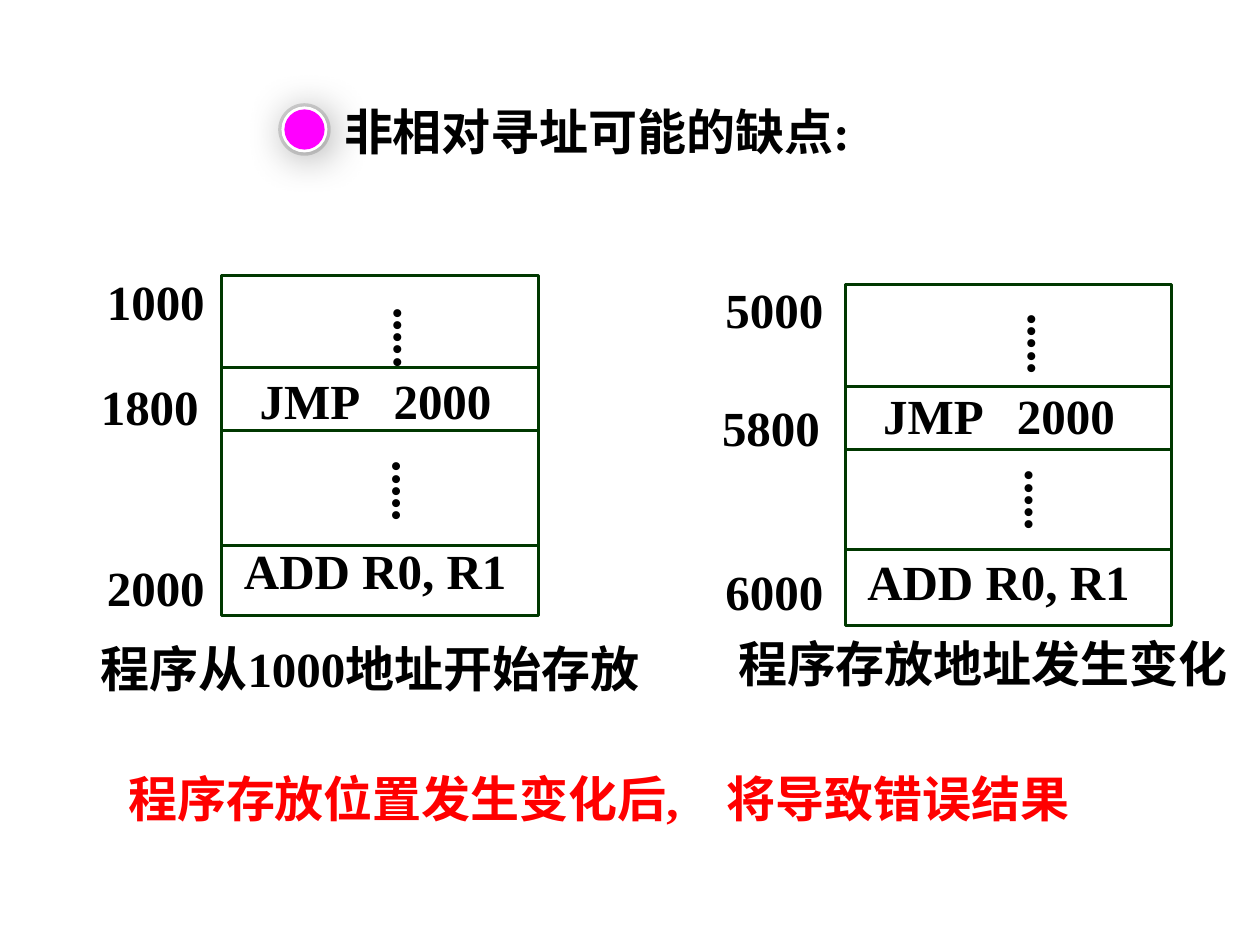
from dataclasses import dataclass

import pptx
import pptx.dml.color
import pptx.enum.shapes
import pptx.enum.text
import pptx.oxml
import pptx.oxml.ns
import pptx.util

Pt = pptx.util.Pt
RGBColor = pptx.dml.color.RGBColor
MSO_SHAPE = pptx.enum.shapes.MSO_SHAPE

BLACK = RGBColor(0x00, 0x00, 0x00)
RED = RGBColor(0xFF, 0x00, 0x00)
GREEN = RGBColor(0x00, 0x38, 0x00)
MAGENTA = RGBColor(0xFF, 0x00, 0xFF)
WHITE = RGBColor(0xFF, 0xFF, 0xFF)
RING_GRAY = RGBColor(0xD9, 0xD9, 0xD9)
PALE_BLUE = RGBColor(0xF6, 0xF9, 0xFC)
PALE_GRAY = RGBColor(0xF2, 0xF2, 0xF2)

FONT = "Times New Roman"
LINE_WIDTH = 1.75
TEXT_HEIGHT = 41
DRAWINGML = pptx.oxml.ns.nsdecls("a")


@dataclass
class MemoryBlock:
    """Program in memory; labels are (text, left, top, width)."""
    left: float
    top: float
    width: float
    height: float
    row_lines: tuple
    jump_offset: float
    add_gap: float
    dots: tuple
    labels: tuple
    caption: tuple


def set_tabs(paragraph, positions):
    stops = "".join(f'<a:tab pos="{Pt(position)}" algn="l"/>' for position in positions)
    properties = paragraph._p.get_or_add_pPr()
    properties.append(pptx.oxml.parse_xml(f"<a:tabLst {DRAWINGML}>{stops}</a:tabLst>"))


def style_text(paragraph, color=BLACK):
    paragraph.alignment = pptx.enum.text.PP_ALIGN.LEFT
    for run in paragraph.runs:
        run.font.name = FONT
        run.font.size = Pt(28)
        run.font.bold = True
        run.font.color.rgb = color


def add_text(slide, text, left, top, width, height=TEXT_HEIGHT, color=BLACK, tabs=()):
    shape = slide.shapes.add_textbox(Pt(left), Pt(top), Pt(width), Pt(height))
    text_frame = shape.text_frame
    text_frame.word_wrap = True
    text_frame.text = text
    paragraph = text_frame.paragraphs[0]
    if tabs:
        set_tabs(paragraph, tabs)
    style_text(paragraph, color)
    return shape


def add_vertical_dots(slide, left, top):
    shape = add_text(slide, ".....", left, top, 48, 59)
    shape.element.txBody.bodyPr.set("vert", "eaVert")


def add_row_line(slide, left, right, y):
    line = slide.shapes.add_connector(
        pptx.enum.shapes.MSO_CONNECTOR.STRAIGHT, Pt(left), Pt(y), Pt(right), Pt(y))
    line.line.color.rgb = GREEN
    line.line.width = Pt(LINE_WIDTH)
    line.element.spPr.append(pptx.oxml.parse_xml(f"<a:effectLst {DRAWINGML}/>"))


def add_instruction_frame(slide, block):
    shape = slide.shapes.add_shape(
        MSO_SHAPE.RECTANGLE, Pt(block.left), Pt(block.top), Pt(block.width), Pt(block.height))
    shape.shadow.inherit = False
    shape.fill.background()
    shape.line.color.rgb = GREEN
    shape.line.width = Pt(LINE_WIDTH)
    text_frame = shape.text_frame
    text_frame.word_wrap = True
    text_frame.vertical_anchor = pptx.enum.text.MSO_ANCHOR.TOP
    text_frame.margin_left = Pt(12.6)
    text_frame.margin_right = Pt(0)
    text_frame.margin_top = Pt(block.jump_offset)
    text_frame.text = "\tJMP\t2000\nADD R0, R1"
    jump, addition = text_frame.paragraphs
    set_tabs(jump, (9, 85.5))
    addition.space_before = Pt(block.add_gap)
    for paragraph in (jump, addition):
        style_text(paragraph)


def add_memory_block(slide, block):
    add_text(slide, *block.caption)
    add_instruction_frame(slide, block)
    for left, top in block.dots:
        add_vertical_dots(slide, left, top)
    for y in block.row_lines:
        add_row_line(slide, block.left, block.left + block.width, y)
    for label in block.labels:
        add_text(slide, *label).text_frame.margin_top = Pt(6)


def add_circle(slide, center_x, center_y, diameter):
    radius = diameter / 2
    circle = slide.shapes.add_shape(
        MSO_SHAPE.OVAL, Pt(center_x - radius), Pt(center_y - radius), Pt(diameter), Pt(diameter))
    circle.shadow.inherit = False
    return circle


def add_bullet_button(slide, center_x, center_y):
    ring = add_circle(slide, center_x, center_y, 28)
    ring.fill.background()
    ring.line.color.rgb = RING_GRAY
    ring.line.width = Pt(2)

    base = add_circle(slide, center_x, center_y, 24.5)
    base.fill.gradient()
    base.fill.gradient_angle = 270
    for stop, color in zip(base.fill.gradient_stops, (PALE_BLUE, PALE_GRAY)):
        stop.color.rgb = color
    base.line.color.rgb = WHITE
    base.line.width = Pt(LINE_WIDTH)
    effects = base.element.spPr.find(pptx.oxml.ns.qn("a:effectLst"))
    effects.append(pptx.oxml.parse_xml(
        f'<a:outerShdw {DRAWINGML} blurRad="{Pt(24)}" dist="{Pt(3)}" dir="2700000">'
        '<a:srgbClr val="000000"><a:alpha val="39000"/></a:srgbClr></a:outerShdw>'))

    center = add_circle(slide, center_x, center_y, 23)
    center.fill.solid()
    center.fill.fore_color.rgb = MAGENTA
    center.line.fill.background()


def main():
    presentation = pptx.Presentation()
    presentation.slide_width = Pt(720)
    presentation.slide_height = Pt(540)
    slide = presentation.slides.add_slide(presentation.slide_layouts[6])

    add_text(slide, "非相对寻址可能的缺点:", 189.5, 54.7, 375)
    add_text(slide, "程序存放位置发生变化后,\t将导致错误结果", 66.2, 435.6, 634,
             color=RED, tabs=(342,))
    add_memory_block(slide, MemoryBlock(
        left=126.8, top=157.5, width=181, height=194.5,
        row_lines=(210.2, 246.2, 311.8), jump_offset=54, add_gap=64,
        dots=((208, 256.3), (208.8, 168.5)),
        labels=(("1000", 54, 149, 125), ("1800", 50.5, 209, 78.5), ("2000", 54, 312.5, 125)),
        caption=("程序从1000地址开始存放", 50.5, 361.5, 332)))
    add_memory_block(slide, MemoryBlock(
        left=483, top=162.8, width=186.5, height=194.5,
        row_lines=(221, 257, 313.9), jump_offset=57.5, add_gap=61.5,
        dots=((569.5, 261.4), (571, 172)),
        labels=(("5000", 407.5, 154, 130), ("5800", 405.5, 221, 81.5), ("6000", 407.5, 314.6, 130)),
        caption=("程序存放地址发生变化", 414.7, 358.6, 306.7)))
    add_bullet_button(slide, 174, 74)

    presentation.save("out.pptx")


if __name__ == "__main__":
    main()
